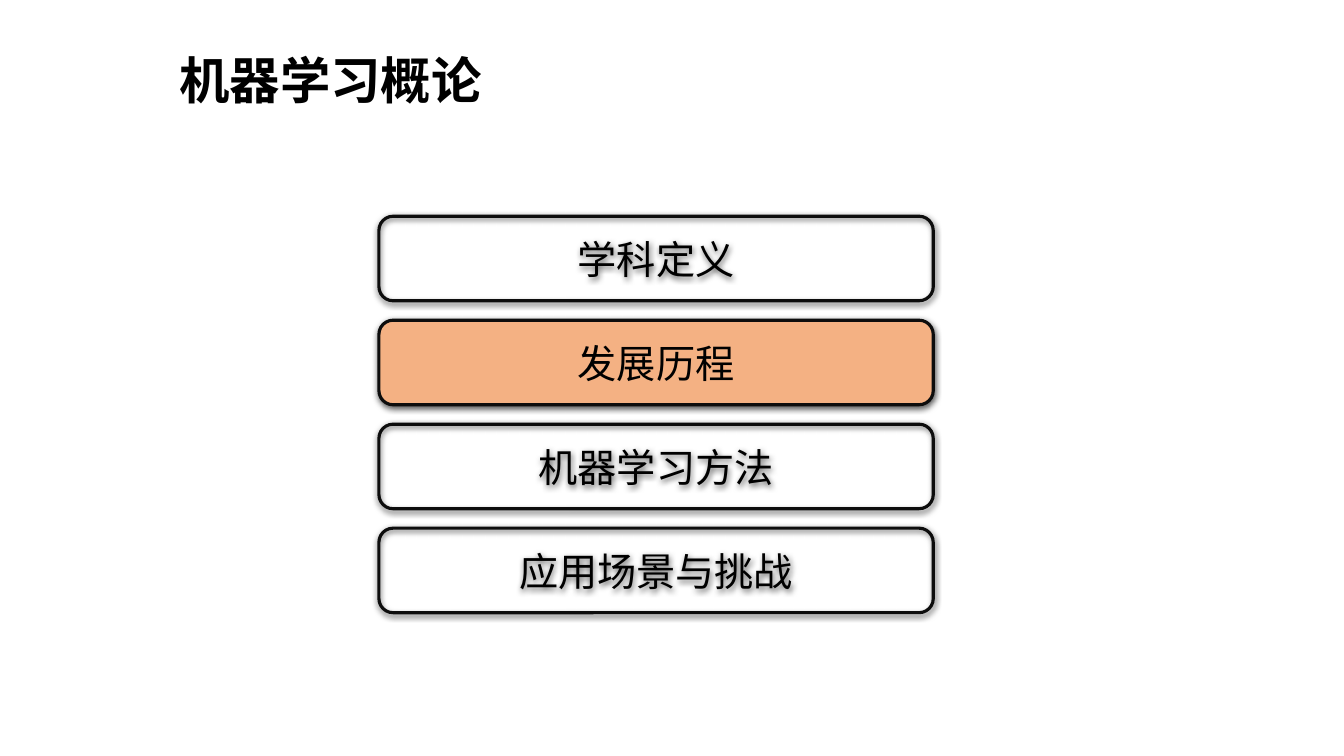
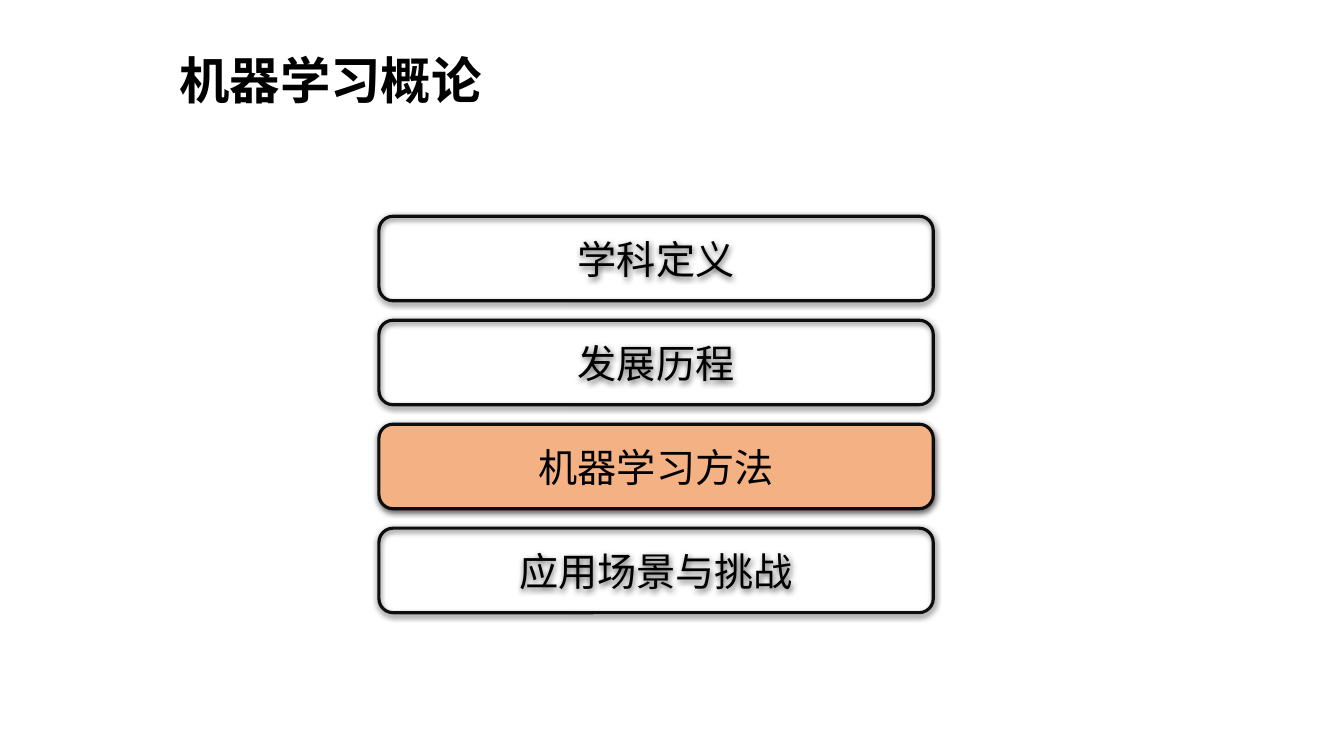
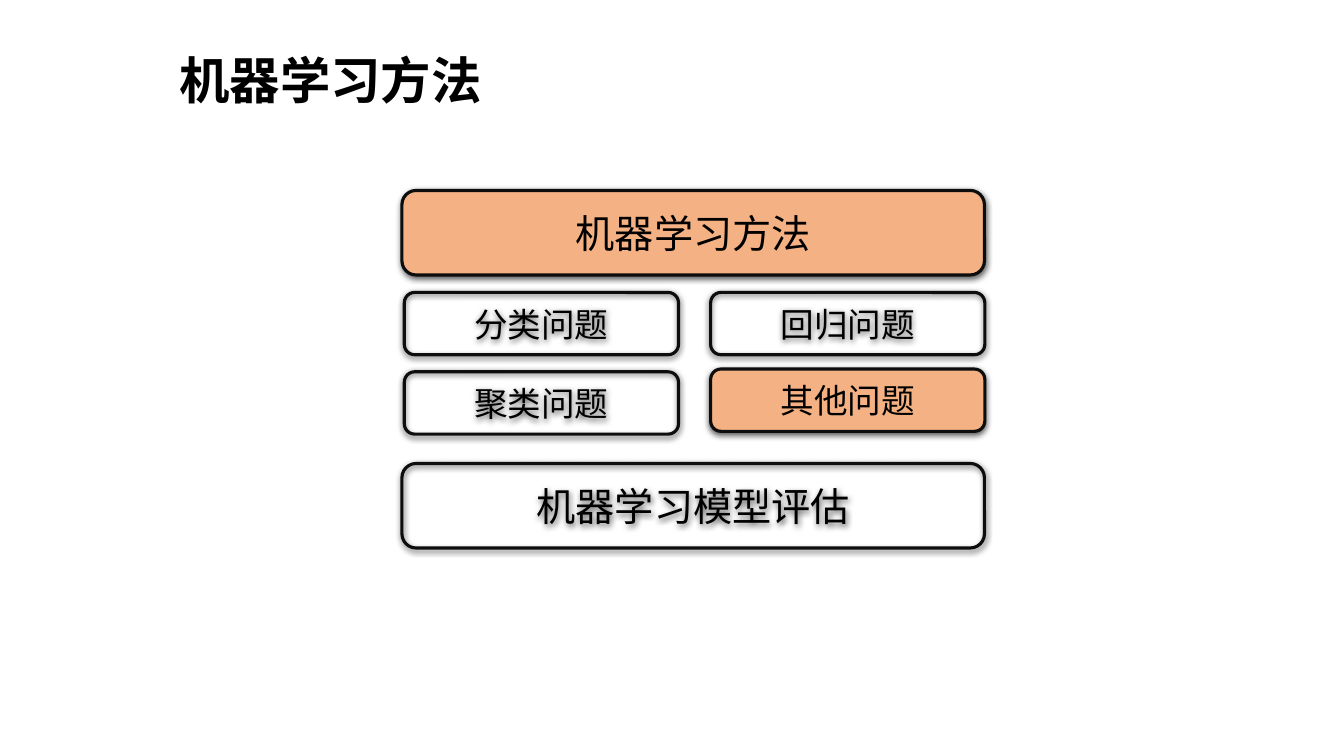
from lxml import etree
from pptx import Presentation
from pptx.dml.color import RGBColor
from pptx.enum.shapes import MSO_SHAPE
from pptx.enum.text import MSO_ANCHOR, MSO_AUTO_SIZE, PP_ALIGN
from pptx.oxml import parse_xml
from pptx.oxml.ns import nsdecls, qn
from pptx.util import Cm, Pt

ROUNDED = MSO_SHAPE.ROUNDED_RECTANGLE
MIDDLE = MSO_ANCHOR.MIDDLE
FIT_SHAPE = MSO_AUTO_SIZE.SHAPE_TO_FIT_TEXT
CENTER = PP_ALIGN.CENTER

BLACK = RGBColor(0x00, 0x00, 0x00)
OUTLINE = RGBColor(0x0D, 0x0D, 0x0D)
HIGHLIGHT = RGBColor(0xF4, 0xB1, 0x83)

FONT = "Noto Sans CJK SC"
TITLE_FORMAT = {"name": FONT, "size": Pt(36), "bold": True}
LARGE_FORMAT = {"name": FONT, "size": Pt(28)}
SMALL_FORMAT = {"name": FONT, "size": Pt(24)}

SHADOW = (
    f'<a:effectLst {nsdecls("a")}>'
    '<a:outerShdw blurRad="57150" dist="19050" dir="5400000" algn="ctr" rotWithShape="0">'
    '<a:srgbClr val="000000"><a:alpha val="63000"/></a:srgbClr>'
    "</a:outerShdw></a:effectLst>"
)

LARGE_HEIGHT = 2.13
SMALL_HEIGHT = 1.57
CHAPTERS = ["学科定义", "发展历程", "机器学习方法", "应用场景与挑战"]


class Deck:
    def __init__(self):
        self.deck = Presentation()
        self.deck.slide_width = Cm(33.87)
        self.deck.slide_height = Cm(19.05)
        self.page = None

    def add_page(self, title):
        self.page = self.deck.slides.add_slide(self.deck.slide_layouts[6])
        box = self.page.shapes.add_textbox(Cm(4.27), Cm(1.12), Cm(10.97), Cm(1.8))
        box.text_frame.word_wrap = True
        box.text_frame.auto_size = FIT_SHAPE
        self.add_text(box, title, TITLE_FORMAT)

    def add_text(self, box, text, style):
        """Fill the first paragraph of box and return it."""
        para = box.text_frame.paragraphs[0]
        span = para.add_run()
        span.text = text
        for name, value in style.items():
            setattr(span.font, name, value)
        span.font.color.rgb = BLACK
        east_asian = etree.SubElement(span.font._element, qn("a:ea"))
        east_asian.set("typeface", FONT)
        return para

    def add_button(self, text, left, top, width, height, style=LARGE_FORMAT, active=False):
        button = self.page.shapes.add_shape(
            ROUNDED, Cm(left), Cm(top), Cm(width), Cm(height))
        if active:
            button.fill.solid()
            button.fill.fore_color.rgb = HIGHLIGHT
        else:
            button.fill.background()
        button.line.color.rgb = OUTLINE
        button.line.width = Pt(2.25)
        button._element.spPr.append(parse_xml(SHADOW))
        button.text_frame.word_wrap = True
        button.text_frame.vertical_anchor = MIDDLE
        self.add_text(button, text, style).alignment = CENTER

    def add_agenda(self, active_chapter):
        for row, chapter in enumerate(CHAPTERS):
            self.add_button(chapter, 9.55, 5.45 + row * 2.62, 13.97, LARGE_HEIGHT,
                            active=chapter == active_chapter)

    def add_problem_column(self, left, problems, active_problem):
        for top, problem in problems:
            self.add_button(problem, left, top, 6.91, SMALL_HEIGHT, SMALL_FORMAT,
                            active=problem == active_problem)


def main():
    deck = Deck()
    for chapter in ("发展历程", "机器学习方法"):
        deck.add_page("机器学习概论")
        deck.add_agenda(chapter)

    deck.add_page("机器学习方法")
    deck.add_button("机器学习方法", 10.13, 4.8, 14.68, LARGE_HEIGHT, active=True)
    deck.add_problem_column(10.19, [(7.37, "分类问题"), (9.37, "聚类问题")], "其他问题")
    deck.add_problem_column(17.91, [(7.37, "回归问题"), (9.3, "其他问题")], "其他问题")
    deck.add_button("机器学习模型评估", 10.13, 11.68, 14.68, LARGE_HEIGHT)

    deck.deck.save("out.pptx")


if __name__ == "__main__":
    main()
